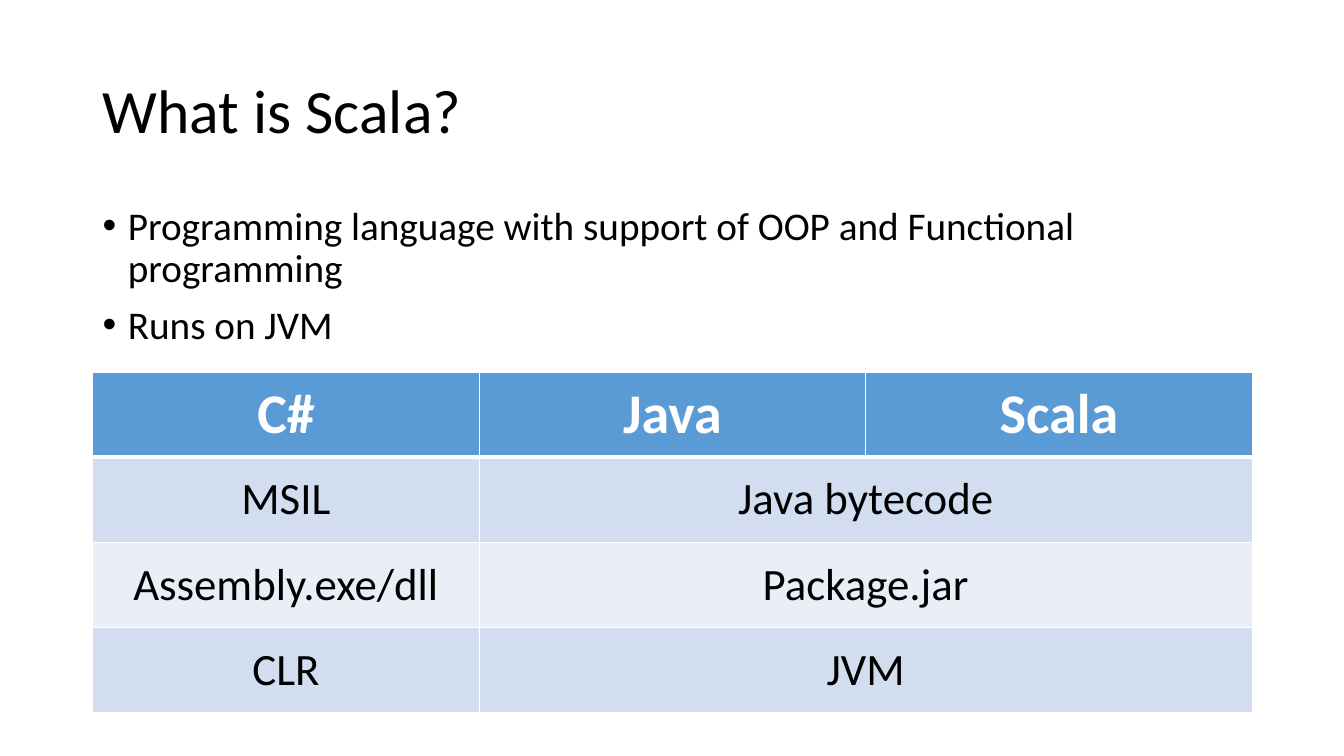
from dataclasses import dataclass

from lxml.etree import SubElement
from pptx import Presentation
from pptx.dml.color import RGBColor
from pptx.enum.text import MSO_ANCHOR, PP_ALIGN
from pptx.oxml.ns import qn
from pptx.util import Inches, Pt

FONT = "Calibri"
BLACK = RGBColor(0x00, 0x00, 0x00)
WHITE = RGBColor(0xFF, 0xFF, 0xFF)
HEADER_BLUE = RGBColor(0x5B, 0x9B, 0xD5)
BAND_DARK = RGBColor(0xD2, 0xDE, 0xEF)
BAND_LIGHT = RGBColor(0xEA, 0xEF, 0xF7)

LEFT, WIDTH = Inches(0.92), Inches(11.5)
ROW_HEIGHT = Inches(0.845)


@dataclass
class TableRow:
    texts: list[str]
    fill: RGBColor
    size: int = 32
    color: RGBColor = BLACK
    bold: bool = False
    top: float = 1
    bottom: float = 1


BULLETS = [
    "Programming language with support of OOP and Functional programming",
    "Runs on JVM",
]
ROWS = [
    TableRow(["C#", "Java", "Scala"], HEADER_BLUE, 40, WHITE, True, bottom=3),
    TableRow(["MSIL", "Java bytecode"], BAND_DARK, top=3),
    TableRow(["Assembly.exe/dll", "Package.jar"], BAND_LIGHT),
    TableRow(["CLR", "JVM"], BAND_DARK),
]


def write(p, text: str, *, size: int, color: RGBColor = BLACK, bold: bool = False,
          align: PP_ALIGN = PP_ALIGN.LEFT, line_spacing: float = 1.0,
          before: float = 0, bullet: bool = False) -> None:
    """Fill a paragraph with one formatted run."""
    p.alignment = align
    p.line_spacing = line_spacing
    p.space_before = Pt(before)
    if bullet:
        pPr = p._p.get_or_add_pPr()
        pPr.set("marL", str(Inches(0.25)))
        pPr.set("indent", str(-Inches(0.25)))
        SubElement(pPr, qn("a:buFont"), typeface="Arial")
        SubElement(pPr, qn("a:buChar"), char="•")
    r = p.add_run()
    r.text = text
    r.font.name = FONT
    r.font.size = Pt(size)
    r.font.bold = bold
    r.font.color.rgb = color


def set_borders(cell, top: float, bottom: float) -> None:
    """Draw white borders on all four sides of a cell."""
    tcPr = cell._tc.get_or_add_tcPr()
    for side, width in (("L", 1), ("R", 1), ("T", top), ("B", bottom)):
        ln = SubElement(tcPr, qn(f"a:ln{side}"), w=str(Pt(width)))
        fill = SubElement(ln, qn("a:solidFill"))
        SubElement(fill, qn("a:srgbClr"), val=str(WHITE))


def add_title(slide, text: str) -> None:
    sp = slide.shapes.title
    sp.left, sp.top, sp.width, sp.height = LEFT, Inches(0.4), WIDTH, Inches(1.45)
    tf = sp.text_frame
    tf.vertical_anchor = MSO_ANCHOR.MIDDLE
    write(tf.paragraphs[0], text, size=44, line_spacing=0.9)


def add_bullets(slide, bullets: list[str]) -> None:
    sp = slide.shapes.add_textbox(LEFT, Inches(2), WIDTH, Inches(1.7))
    tf = sp.text_frame
    tf.word_wrap = True
    for i, text in enumerate(bullets):
        p = tf.add_paragraph() if i else tf.paragraphs[0]
        write(p, text, size=28, line_spacing=0.9, before=10, bullet=True)


def add_comparison(slide, rows: list[TableRow]) -> None:
    columns = len(rows[0].texts)
    table = slide.shapes.add_table(len(rows), columns, LEFT, Inches(3.69),
                                   WIDTH, ROW_HEIGHT * len(rows)).table
    for i, row in enumerate(rows):
        table.rows[i].height = ROW_HEIGHT
        for j in range(columns):
            cell = table.cell(i, j)
            set_borders(cell, row.top, row.bottom)
            cell.fill.solid()
            cell.fill.fore_color.rgb = row.fill
            cell.vertical_anchor = MSO_ANCHOR.MIDDLE
        # The last text of a short row spans the remaining columns
        last = len(row.texts) - 1
        if last < columns - 1:
            table.cell(i, last).merge(table.cell(i, columns - 1))
        for j, text in enumerate(row.texts):
            write(table.cell(i, j).text_frame.paragraphs[0], text, size=row.size,
                  color=row.color, bold=row.bold, align=PP_ALIGN.CENTER)


def main() -> None:
    prs = Presentation()
    prs.slide_width, prs.slide_height = Inches(13.33), Inches(7.5)
    s = prs.slides.add_slide(prs.slide_layouts[5])
    add_title(s, "What is Scala?")
    add_bullets(s, BULLETS)
    add_comparison(s, ROWS)
    prs.save("out.pptx")


if __name__ == "__main__":
    main()
